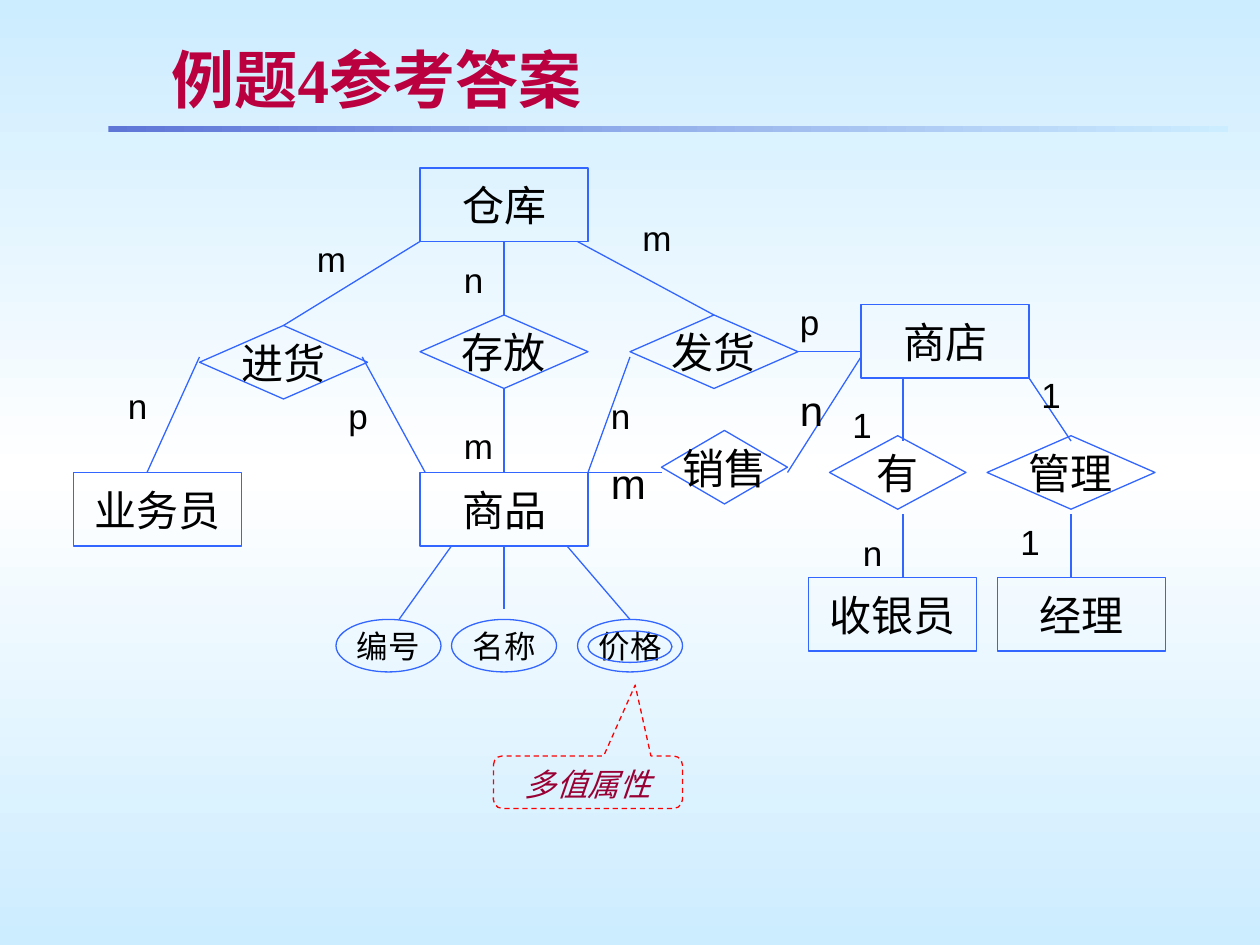
import copy

import lxml.etree
import pptx
import pptx.dml.color
import pptx.enum.dml
import pptx.enum.shapes
import pptx.enum.text
import pptx.oxml.ns
import pptx.util

Pt = pptx.util.Pt
RGB = pptx.dml.color.RGBColor
KIND = pptx.enum.shapes.MSO_SHAPE
ANCHOR = pptx.enum.text.MSO_ANCHOR
ALIGN = pptx.enum.text.PP_ALIGN
FIT = pptx.enum.text.MSO_AUTO_SIZE
qn = pptx.oxml.ns.qn

SKY = RGB(0xCC, 0xEC, 0xFF)
WHITE = RGB(0xFF, 0xFF, 0xFF)
INDIGO = RGB(0x5F, 0x76, 0xD7)
BLUE = RGB(0x33, 0x66, 0xFF)
BLACK = RGB(0, 0, 0)
CRIMSON = RGB(0xBA, 0x00, 0x3E)
RED = RGB(0xFF, 0, 0)
WINE = RGB(0x99, 0x00, 0x33)
GREY = RGB(0xC0, 0xC0, 0xC0)

INSET = {"margin_left": Pt(7.2), "margin_right": Pt(7.2),
         "margin_top": Pt(3.6), "margin_bottom": Pt(3.6)}
NODE = {**INSET, "vertical_anchor": ANCHOR.MIDDLE, "word_wrap": False}
NOTE = {**INSET, "vertical_anchor": ANCHOR.TOP, "word_wrap": True}
MARK = {**NOTE, "auto_size": FIT.SHAPE_TO_FIT_TEXT}
HEAD = {**NOTE, "vertical_anchor": ANCHOR.MIDDLE,
        "margin_top": Pt(3), "margin_bottom": Pt(3)}


def apply(item, form):
    for name, value in form.items():
        setattr(item, name, value)


def write(shape, text, frame, font, color=BLACK, align=ALIGN.CENTER):
    apply(shape.text_frame, frame)
    para = shape.text_frame.paragraphs[0]
    para.alignment = align
    run = para.add_run()
    run.text = text
    apply(run.font, {"name": "Arial", **font})
    run.font.color.rgb = color
    return run


def shade(fill, colors, angle):
    fill.gradient()
    fill.gradient_angle = angle
    for stop, color in zip(fill.gradient_stops, colors):
        stop.color.rgb = color


def outline(slide, kind, box, color=BLUE):
    shape = slide.shapes.add_shape(kind, *map(Pt, box))
    shape.shadow.inherit = False
    shape.fill.background()
    shape.line.color.rgb = color
    shape.line.width = Pt(0.75)
    return shape


def node(slide, kind, text, box, size=24):
    write(outline(slide, kind, box), text, NODE, {"size": Pt(size)})


def mark(slide, text, left, top, width=36, size=20):
    box = slide.shapes.add_textbox(*map(Pt, (left, top, width, size * 1.6)))
    write(box, text, MARK, {"size": Pt(size)}, align=ALIGN.LEFT)


def sites(shape):
    left, top, wide, high = shape.left, shape.top, shape.width, shape.height
    midx, midy = left + wide // 2, top + high // 2
    return [(midx, top), (left, midy), (midx, top + high), (left + wide, midy)]


def link(slide, start, end):
    ends = [tuple(map(Pt, start)), tuple(map(Pt, end))]
    nodes = [s for s in slide.shapes if s.shape_type == pptx.enum.shapes.MSO_SHAPE_TYPE.AUTO_SHAPE]
    line = slide.shapes.add_connector(pptx.enum.shapes.MSO_CONNECTOR.STRAIGHT, *ends[0], *ends[1])
    line.line.color.rgb = BLUE
    line.line.width = Pt(0.75)
    lxml.etree.SubElement(line.element.spPr, qn("a:effectLst"))
    for point, join in zip(ends, (line.begin_connect, line.end_connect)):
        for shape in nodes:
            if point in sites(shape):
                join(shape, sites(shape).index(point))


def paint(slide):
    fill = slide.background.fill
    fill.gradient()
    stops = slide.element.find(".//" + qn("a:gsLst"))
    mid = copy.deepcopy(stops[0])
    mid.set("pos", "50000")
    stops.insert(1, mid)
    shade(fill, (SKY, WHITE, SKY), 90)


def title(slide, left, top):
    bar = slide.shapes.add_shape(KIND.RECTANGLE, Pt(left), Pt(top + 51), Pt(640), Pt(3.5))
    bar.shadow.inherit = False
    bar.line.fill.background()
    shade(bar.fill, (INDIGO, SKY), 0)
    box = slide.shapes.add_textbox(Pt(left + 29), Pt(top), Pt(593), Pt(48))
    run = write(box, "例题4参考答案", HEAD,
                {"name": "Times New Roman", "size": Pt(36), "bold": True}, CRIMSON, ALIGN.LEFT)
    effect = lxml.etree.Element(qn("a:effectLst"))
    cast = lxml.etree.SubElement(effect, qn("a:outerShdw"), dist="25400", dir="2700000")
    lxml.etree.SubElement(cast, qn("a:srgbClr"), val=str(GREY))
    run.font.fill  
    run._r.get_or_add_rPr().find(qn("a:solidFill")).addnext(effect)


def chart(slide, left, top, nodes, links, marks):
    for kind, text, x, y, wide in nodes:
        node(slide, kind, text, (left + x, top + y, wide, 42))
    for x, y, endx, endy in links:
        link(slide, (left + x, top + y), (left + endx, top + endy))
    for text, x, y, *form in marks:
        mark(slide, text, left + x, top + y, *form)


def stock(slide, left, top):
    nodes = [(KIND.RECTANGLE, "仓库", 198, 0, 96), (KIND.RECTANGLE, "商品", 198, 174, 96),
             (KIND.RECTANGLE, "业务员", 0, 174, 96), (KIND.DIAMOND, "进货", 72, 90, 96),
             (KIND.DIAMOND, "发货", 318, 84, 96), (KIND.DIAMOND, "存放", 198, 84, 96)]
    links = [(42, 174, 72, 108), (201, 174, 165, 108), (120, 90, 198, 42), (246, 174, 246, 126),
             (246, 84, 246, 42), (294, 174, 318, 108), (366, 84, 288, 42)]
    marks = [("n", 24, 120), ("m", 132, 36), ("p", 150, 126), ("m", 216, 143),
             ("n", 216, 48), ("m", 318, 24), ("n", 300, 126)]
    chart(slide, left, top, nodes, links, marks)


def shop(slide, left, top):
    nodes = [(KIND.RECTANGLE, "商店", 156, 6, 96), (KIND.RECTANGLE, "收银员", 126, 162, 96),
             (KIND.RECTANGLE, "经理", 234, 162, 96), (KIND.DIAMOND, "有", 138, 81, 78),
             (KIND.DIAMOND, "管理", 228, 81, 96), (KIND.DIAMOND, "销售", 42, 78, 72)]
    links = [(120, 33, 156, 33), (180, 48, 180, 84), (180, 126, 180, 162), (252, 48, 276, 84),
             (276, 126, 276, 162), (0, 102, 42, 102), (114, 102, 156, 36)]
    marks = [("1", 144, 59), ("p", 114, 0), ("n", 150, 132), ("1", 240, 126),
             ("1", 252, 42), ("m", 6, 90, 42, 24), ("n", 114, 48, 30, 24)]
    chart(slide, left, top, nodes, links, marks)


def traits(slide, left, top):
    for text, x in (("编号", 0), ("名称", 66), ("价格", 138)):
        node(slide, KIND.OVAL, text, (left + x, top + 42, 60, 30), 18)
    outline(slide, KIND.OVAL, (left + 144, top + 48.5, 48, 18))
    for x, endx, endy in ((66, 36, 42), (96, 96, 36), (132, 168, 42)):
        link(slide, (left + x, top), (left + endx, top + endy))
    note = outline(slide, KIND.ROUNDED_RECTANGULAR_CALLOUT, (left + 90, top + 120, 108, 30), RED)
    note.line.dash_style = pptx.enum.dml.MSO_LINE.DASH
    for spot, value in enumerate((0.25, -1.85, 0.17)):
        note.adjustments[spot] = value
    write(note, "多值属性", NOTE, {"size": Pt(18), "italic": True}, WINE)


def main():
    deck = pptx.Presentation()
    apply(deck, {"slide_width": Pt(720), "slide_height": Pt(540)})
    slide = deck.slides.add_slide(deck.slide_layouts[6])
    paint(slide)
    title(slide, 62, 21)
    stock(slide, 42, 96)
    shop(slide, 336, 168)
    traits(slide, 192, 312)
    deck.save("out.pptx")


if __name__ == "__main__":
    main()
